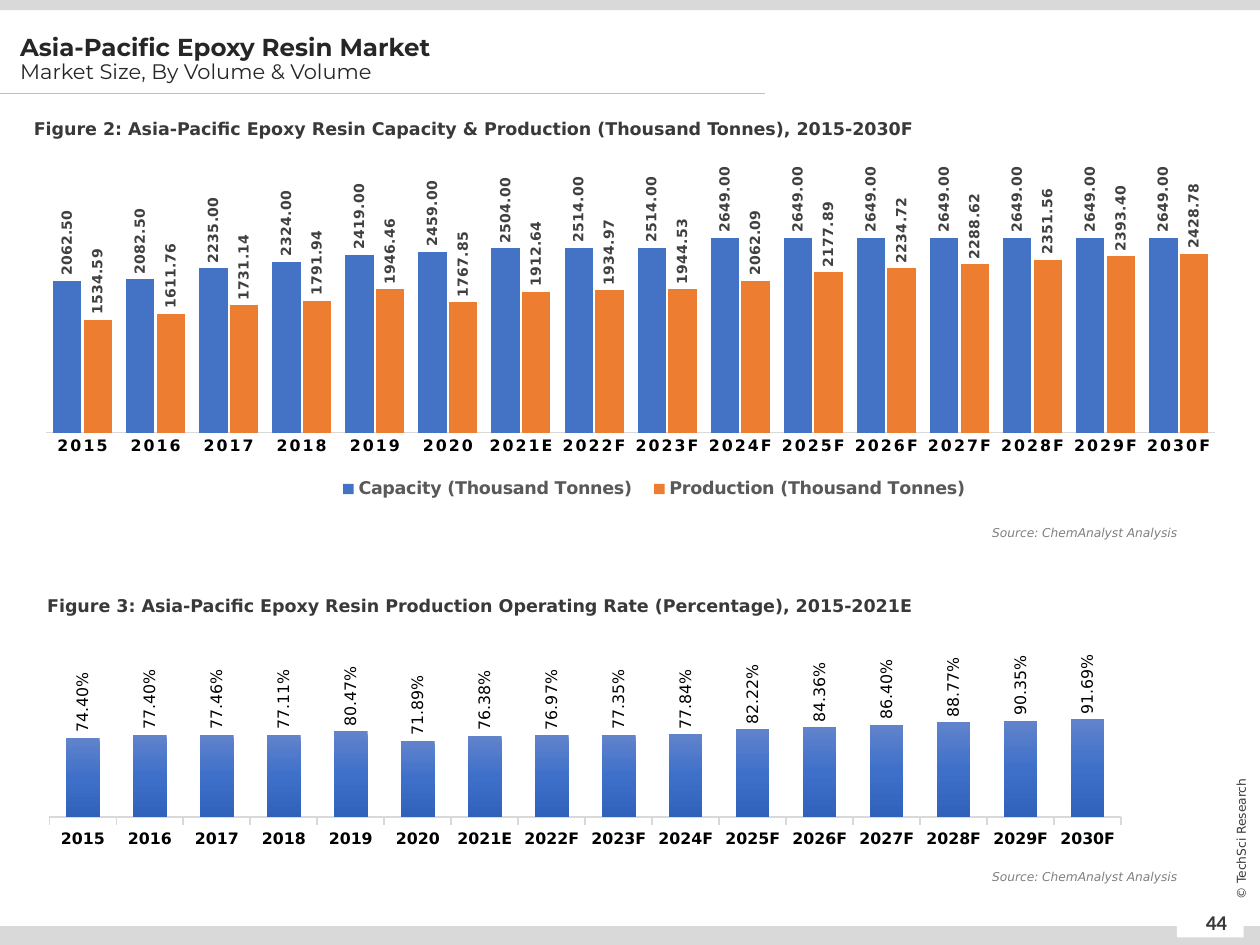
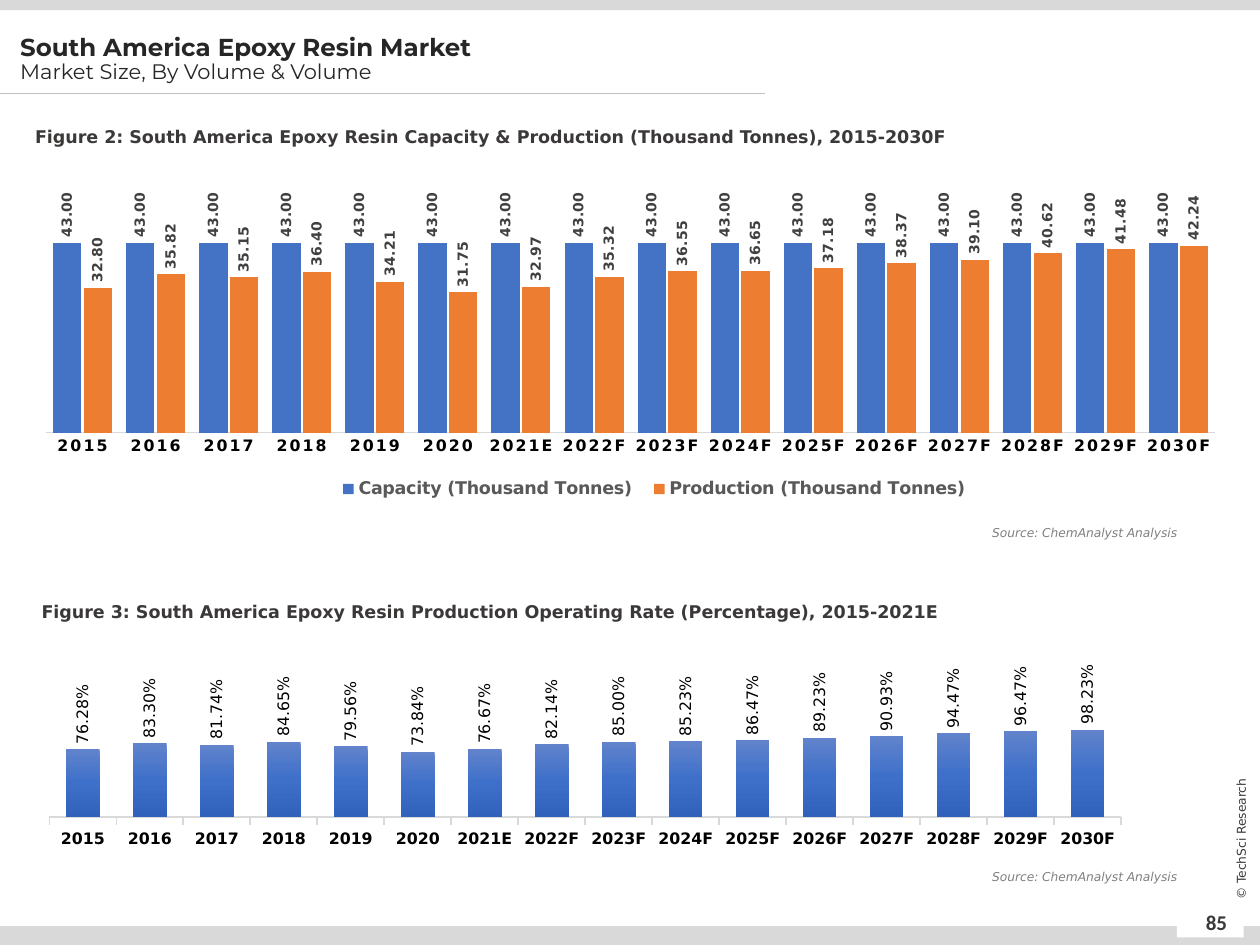
from typing import NamedTuple

from pptx import Presentation
from pptx.chart.data import CategoryChartData
from pptx.dml.color import RGBColor
from pptx.enum.chart import (XL_CHART_TYPE, XL_LABEL_POSITION, XL_LEGEND_POSITION,
                             XL_TICK_LABEL_POSITION, XL_TICK_MARK)
from pptx.enum.shapes import MSO_CONNECTOR, MSO_SHAPE
from pptx.enum.text import MSO_ANCHOR, MSO_AUTO_SIZE, PP_ALIGN
from pptx.oxml import parse_xml
from pptx.oxml.ns import nsdecls, qn
from pptx.util import Inches, Pt

WHITE = RGBColor(0xFF, 0xFF, 0xFF)
BLACK = RGBColor(0x00, 0x00, 0x00)
BAND_GRAY = RGBColor(0xD9, 0xD9, 0xD9)
RULE_GRAY = RGBColor(0xBF, 0xBF, 0xBF)
TITLE_INK = RGBColor(0x26, 0x26, 0x26)
CAPTION_INK = RGBColor(0x3B, 0x38, 0x38)
SOURCE_GRAY = RGBColor(0x80, 0x80, 0x80)
LABEL_GRAY = RGBColor(0x40, 0x40, 0x40)
LEGEND_GRAY = RGBColor(0x59, 0x59, 0x59)
CAPACITY_BLUE = RGBColor(0x44, 0x72, 0xC4)
PRODUCTION_ORANGE = RGBColor(0xED, 0x7D, 0x31)
RATE_STOPS = ((0, "6183CB"), (50, "3E70CA"), (100, "3062BB"))

BODY_FONT = "DejaVu Sans"
TITLE_FONT = "Montserrat"
NUMBER_FONT = "Calibri"

YEARS = [str(year) for year in range(2015, 2021)] + ["2021E"] + [
    f"{year}F" for year in range(2022, 2031)]
SOURCE_NOTE = "Source: ChemAnalyst Analysis"


class Box(NamedTuple):
    """A rectangle in inches."""
    left: float
    top: float
    width: float
    height: float

    def emu(self):
        return [Inches(length) for length in self]

    def inset(self, left, top, width, height):
        """Box whose corner is offset from this one's."""
        return Box(self.left + left, self.top + top, width, height)


class Region(NamedTuple):
    """What one slide shows."""
    name: str
    page_number: str
    capacity: list
    production: list
    rates: list
    tonnes_max: float
    rate_max: float
    volume_caption: Box
    rate_caption: Box


REGIONS = [
    Region(
        "Asia-Pacific", "44",
        [2062.5, 2082.5, 2235, 2324, 2419, 2459, 2504, 2514, 2514] + [2649] * 7,
        [1534.59, 1611.76, 1731.14, 1791.94, 1946.46, 1767.85, 1912.64, 1934.97,
         1944.53, 2062.09, 2177.89, 2234.72, 2288.62, 2351.56, 2393.4, 2428.78],
        [0.744, 0.774, 0.7746, 0.7711, 0.8047, 0.7189, 0.7638, 0.7697,
         0.7735, 0.7784, 0.8222, 0.8436, 0.864, 0.8877, 0.9035, 0.9169],
        3000, 1.0, Box(0.17, 0.8, 9.63, 0.32), Box(-1.01, 4.59, 9.63, 0.32)),
    Region(
        "South America", "85",
        [43] * 16,
        [32.8, 35.82, 35.15, 36.4, 34.21, 31.75, 32.97, 35.32,
         36.55, 36.65, 37.18, 38.37, 39.1, 40.62, 41.48, 42.24],
        [0.7628, 0.833, 0.8174, 0.8465, 0.7956, 0.7384, 0.7667, 0.8214,
         0.85, 0.8523, 0.8647, 0.8923, 0.9093, 0.9447, 0.9647, 0.9823],
        50, 1.2, Box(0.18, 0.87, 9.63, 0.32), Box(-0.93, 4.64, 9.63, 0.32)),
]


def style_font(font, size, color, name=BODY_FONT, bold=False, italic=False):
    font.name, font.size = name, Pt(size)
    font.bold, font.italic = bold, italic
    font.color.rgb = color


def add_text(page, box, text, size, color, align=PP_ALIGN.LEFT, spacing=None,
             anchor=MSO_ANCHOR.TOP, grow=False, **font_options):
    text_box = page.shapes.add_textbox(*box.emu())
    frame = text_box.text_frame
    frame.word_wrap = True
    frame.vertical_anchor = anchor
    if grow:
        frame.auto_size = MSO_AUTO_SIZE.SHAPE_TO_FIT_TEXT
    para = frame.paragraphs[0]
    para.alignment = align
    if spacing:
        para.line_spacing = spacing
    run = para.add_run()
    run.text = text
    style_font(run.font, size, color, **font_options)
    return text_box


def add_band(page, box, color):
    band = page.shapes.add_shape(MSO_SHAPE.RECTANGLE, *box.emu())
    band.shadow.inherit = False
    band.fill.solid()
    band.fill.fore_color.rgb = color
    band.line.fill.background()


def add_page_frame(page, box, page_number):
    """Top and bottom bands, title rule, page number and copyright line."""
    add_band(page, box.inset(0, 0, box.width, 0.08), BAND_GRAY)
    add_band(page, box.inset(9.56, 7.13, 0.35, 0.37), WHITE)
    add_band(page, box.inset(0, 7.35, box.width, 0.15), BAND_GRAY)
    add_band(page, box.inset(9.34, 7.22, 0.53, 0.22), WHITE)

    left, top, width, _ = box.inset(0, 0.74, 6.07, 0).emu()
    rule = page.shapes.add_connector(MSO_CONNECTOR.STRAIGHT, left, top, left + width, top)
    rule.line.color.rgb = RULE_GRAY
    rule.line.width = Pt(0.5)
    rule._element.spPr.append(parse_xml(f"<a:effectLst {nsdecls('a')}/>"))

    add_text(page, box.inset(9.41, 7.12, 0.49, 0.4), page_number, 12, CAPTION_INK,
             PP_ALIGN.CENTER, anchor=MSO_ANCHOR.MIDDLE, name=NUMBER_FONT, bold=True)
    rights = add_text(page, box.inset(9.25, 6.58, 1.2, 0.16), "© TechSci Research", 7,
                      CAPTION_INK, PP_ALIGN.CENTER, anchor=MSO_ANCHOR.MIDDLE)
    rights.rotation = 270


def fill_title(page, box, heading):
    title = page.shapes.title
    title.left, title.top, title.width, title.height = box.emu()
    frame = title.text_frame
    frame.word_wrap = True
    frame.auto_size = MSO_AUTO_SIZE.NONE
    frame.vertical_anchor = MSO_ANCHOR.MIDDLE
    lines = ((heading, 14, True), ("Market Size, By Volume & Volume", 12, False))
    for index, (text, size, bold) in enumerate(lines):
        para = frame.add_paragraph() if index else frame.paragraphs[0]
        para.alignment = PP_ALIGN.LEFT
        para.line_spacing = 0.9
        run = para.add_run()
        run.text = text
        style_font(run.font, size, TITLE_INK, TITLE_FONT, bold)


def set_layout(parent, index, x, y, width, height, inner=False):
    """Fix the place of a plot or legend, in fractions of the chart."""
    for old in parent.findall(qn("c:layout")):
        parent.remove(old)
    target = '<c:layoutTarget val="inner"/>' if inner else ""
    parent.insert(index, parse_xml(
        f'<c:layout {nsdecls("c")}><c:manualLayout>{target}'
        '<c:xMode val="edge"/><c:yMode val="edge"/>'
        f'<c:x val="{x}"/><c:y val="{y}"/><c:w val="{width}"/><c:h val="{height}"/>'
        '</c:manualLayout></c:layout>'))


def add_column_chart(page, box, series_values, number_format, top_value, gap, plot_place,
                     axis_width, tick_mark, label_style):
    """Columns by year with upright value labels."""
    data = CategoryChartData(number_format=number_format)
    data.categories = YEARS
    for name, values in series_values:
        data.add_series(name, values)
    chart = page.shapes.add_chart(XL_CHART_TYPE.COLUMN_CLUSTERED, *box.emu(), data).chart
    chart.has_title = False
    chart.has_legend = False
    style_font(chart.font, 9, BLACK)
    plot_area = chart._chartSpace.xpath("c:chart/c:plotArea")[0]
    set_layout(plot_area, 0, *plot_place, inner=True)

    years = chart.category_axis
    years.major_tick_mark = tick_mark
    years.minor_tick_mark = XL_TICK_MARK.NONE
    years.format.line.color.rgb = BAND_GRAY
    years.format.line.width = Pt(axis_width)
    style_font(years.tick_labels.font, 9, BLACK, bold=True)

    scale = chart.value_axis
    scale.has_major_gridlines = False
    scale.minimum_scale, scale.maximum_scale = 0, top_value
    scale.tick_label_position = XL_TICK_LABEL_POSITION.NONE
    scale.format.line.fill.background()

    plot = chart.plots[0]
    plot.gap_width = gap
    plot.vary_by_categories = False
    for series in plot.series:
        series.invert_if_negative = False
        labels = series.data_labels
        labels.show_value = True
        labels.position = XL_LABEL_POSITION.OUTSIDE_END
        labels.number_format = number_format
        labels.number_format_is_linked = False
        size, color, bold = label_style
        style_font(labels.font, size, color, bold=bold)
        text_body = labels._element.find(qn("c:txPr")).find(qn("a:bodyPr"))
        text_body.set("rot", "-5400000")
        text_body.set("vert", "horz")
    return chart


def add_volume_chart(page, box, region):
    chart = add_column_chart(
        page, box,
        (("Capacity (Thousand Tonnes)", region.capacity),
         ("Production (Thousand Tonnes)", region.production)),
        "0.00", region.tonnes_max, 50, (0, 0.148, 1, 0.615), 0.75, XL_TICK_MARK.NONE,
        (8, LABEL_GRAY, True))
    chart.value_axis.visible = False
    for properties in chart.category_axis._element.xpath("c:txPr//a:defRPr"):
        properties.set("spc", "120")

    plot = chart.plots[0]
    plot.overlap = -8
    for series, color in zip(plot.series, (CAPACITY_BLUE, PRODUCTION_ORANGE)):
        series.format.fill.solid()
        series.format.fill.fore_color.rgb = color

    chart.has_legend = True
    legend = chart.legend
    legend.position = XL_LEGEND_POSITION.TOP
    legend.include_in_layout = False
    style_font(legend.font, 10, LEGEND_GRAY, bold=True)
    set_layout(legend._element, 1, 0.24, 0.87, 0.56, 0.1)


def add_rate_chart(page, box, region):
    chart = add_column_chart(
        page, box, (("Series 1", region.rates),), "0.00%", region.rate_max, 100,
        (0.025, 0.327, 0.958, 0.488), 1, XL_TICK_MARK.OUTSIDE, (9, BLACK, False))
    stops = "".join(f'<a:gs pos="{percent * 1000}"><a:srgbClr val="{color}"/></a:gs>'
                    for percent, color in RATE_STOPS)
    bars = chart.plots[0].series[0]._element.get_or_add_spPr()
    bars.insert(0, parse_xml(
        f'<a:gradFill {nsdecls("a")} rotWithShape="1"><a:gsLst>{stops}</a:gsLst>'
        '<a:lin ang="5400000" scaled="0"/></a:gradFill>'))


def add_caption(page, box, text, align):
    add_text(page, box, text, 10, CAPTION_INK, align, spacing=1.5, grow=True, bold=True)


def add_source_note(page, box):
    add_text(page, box, SOURCE_NOTE, 7, SOURCE_GRAY, PP_ALIGN.RIGHT, grow=True, italic=True)


def add_region_page(deck, box, region):
    page = deck.slides.add_slide(deck.slide_layouts[5])
    market = f"{region.name} Epoxy Resin"
    add_page_frame(page, box, region.page_number)
    fill_title(page, box.inset(0.06, 0.14, 6.13, 0.67), f"{market} Market")

    add_volume_chart(page, box.inset(0.36, 1.26, 9.29, 2.85), region)
    add_caption(page, box.inset(*region.volume_caption),
                f"Figure 2: {market} Capacity & Production (Thousand Tonnes), 2015-2030F",
                PP_ALIGN.LEFT)
    add_caption(page, box.inset(*region.rate_caption),
                f"Figure 3: {market} Production Operating Rate (Percentage), 2015-2021E",
                PP_ALIGN.CENTER)
    add_rate_chart(page, box.inset(0.17, 5.07, 8.88, 1.74), region)
    for top in (4.12, 6.85):
        add_source_note(page, box.inset(6.12, top, 3.32, 0.22))


def main():
    deck = Presentation()
    page_box = Box(0, 0, 10, 7.5)
    deck.slide_width, deck.slide_height = Inches(page_box.width), Inches(page_box.height)
    for region in REGIONS:
        add_region_page(deck, page_box, region)
    deck.save("out.pptx")


if __name__ == "__main__":
    main()
